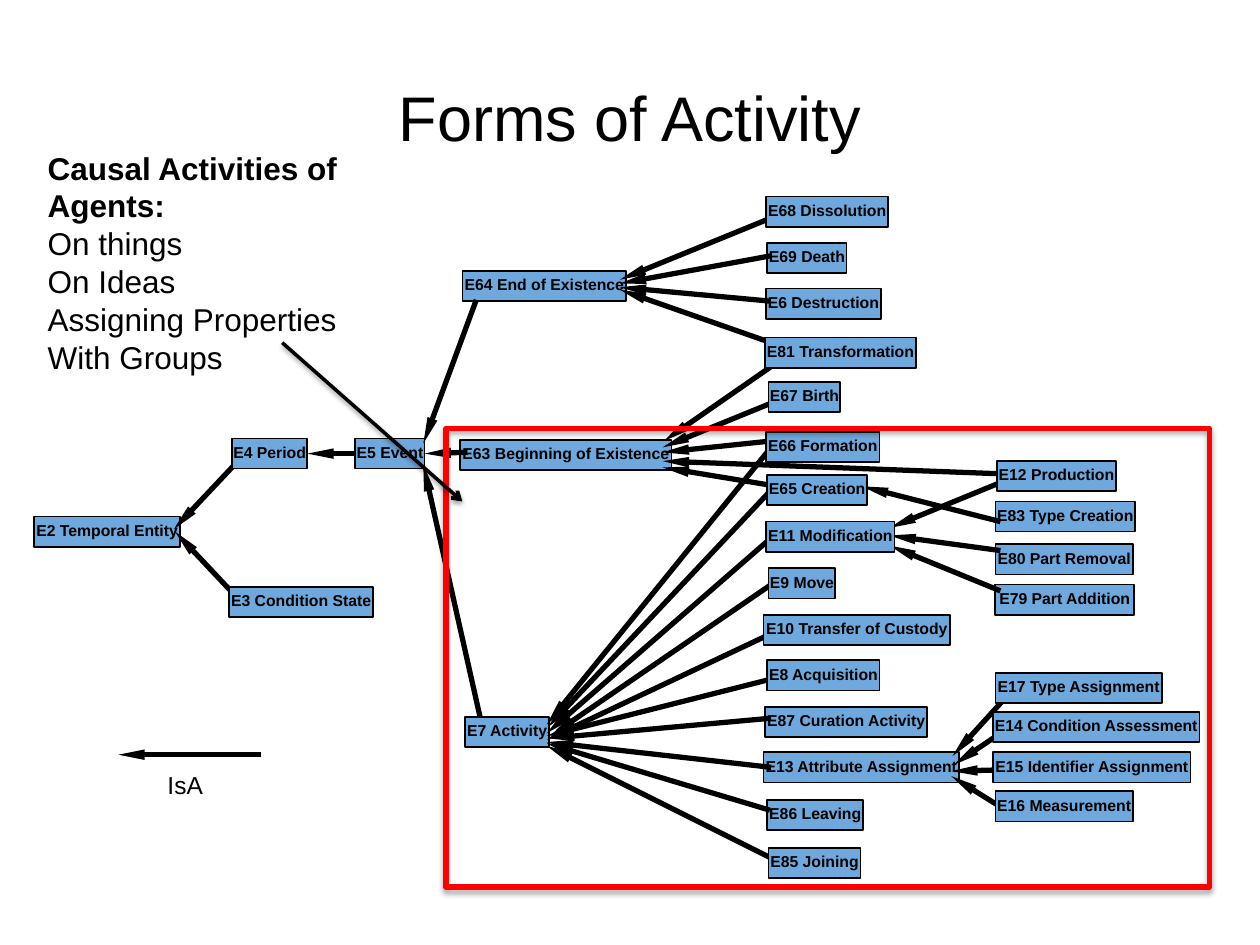
from collections import namedtuple
from dataclasses import dataclass

from lxml.etree import SubElement
from pptx import Presentation
from pptx.dml.color import RGBColor
from pptx.enum.shapes import MSO_CONNECTOR, MSO_SHAPE
from pptx.enum.text import MSO_ANCHOR, MSO_AUTO_SIZE, PP_ALIGN
from pptx.oxml.ns import qn
from pptx.util import Inches, Pt

Box = namedtuple("Box", "x y w h")


@dataclass(frozen=True)
class Theme:
    font: str = "Arial"
    ink: RGBColor = RGBColor(0, 0, 0)
    node: RGBColor = RGBColor(0x6F, 0xA8, 0xDC)
    frame: RGBColor = RGBColor(0xFF, 0, 0)
    title_size: int = 36
    note_size: int = 18
    legend_size: int = 14
    node_size: int = 9
    thin: int = 1
    medium: int = 2
    thick: int = 3


THEME = Theme()
NODE_H = 0.24

BACK_NODES = [
    ("E2 Temporal Entity", 0.27, 4.1, 1.16),
    ("E5 Event", 2.82, 3.48, 0.55),
    ("E63 Beginning of Existence", 3.65, 3.49, 1.68),
    ("E64 End of Existence", 3.67, 2.15, 1.3),
    ("E7 Activity", 3.69, 5.69, 0.67),
    ("E69 Death", 6.09, 1.93, 0.63),
    ("E6 Destruction", 6.08, 2.29, 0.91),
    ("E87 Curation Activity", 6.07, 5.61, 1.29),
    ("E13 Attribute Assignment", 6.06, 5.97, 1.55),
    ("E86 Leaving", 6.09, 6.35, 0.76),
    ("E83 Type Creation", 7.9, 3.98, 1.11),
    ("E80 Part Removal", 7.9, 4.32, 1.09),
    ("E79 Part Addition", 7.9, 4.64, 1.1),
]
FRONT_NODES = [
    ("E4 Period", 1.84, 3.48, 0.6),
    ("E3 Condition State", 1.82, 4.66, 1.14),
    ("E68 Dissolution", 6.08, 1.56, 0.97),
    ("E81 Transformation", 6.07, 2.68, 1.2),
    ("E67 Birth", 6.1, 3.03, 0.57),
    ("E66 Formation", 6.08, 3.43, 0.9),
    ("E65 Creation", 6.09, 3.77, 0.79),
    ("E11 Modification", 6.08, 4.14, 1.02),
    ("E9 Move", 6.1, 4.51, 0.53),
    ("E10 Transfer of Custody", 6.06, 4.88, 1.48),
    ("E8 Acquisition", 6.09, 5.24, 0.89),
    ("E85 Joining", 6.1, 6.73, 0.73),
    ("E12 Production", 7.91, 3.66, 0.95),
    ("E17 Type Assignment", 7.9, 5.34, 1.32),
    ("E14 Condition Assessment", 7.88, 5.65, 1.64),
    ("E15 Identifier Assignment", 7.88, 5.97, 1.57),
    ("E16 Measurement", 7.9, 6.28, 1.09),
]
ARROWS = {
    "E2": [("E4", 1.86, 3.69, 1.38, 4.2), ("E3", 1.86, 4.72, 1.39, 4.22)],
    "E4": [("E5", 2.83, 3.6, 2.41, 3.6)],
    "E5": [("E64", 3.78, 2.38, 3.36, 3.52), ("E7", 3.81, 5.69, 3.36, 3.69),
           ("E63", 3.71, 3.59, 3.35, 3.59)],
    "E64": [("E68", 6.12, 1.73, 4.92, 2.22), ("E69", 6.12, 2.03, 4.92, 2.25),
            ("E6", 6.11, 2.39, 4.92, 2.28), ("E81", 6.12, 2.72, 4.92, 2.3)],
    "E63": [("E81", 6.12, 2.91, 5.27, 3.5), ("E67", 6.12, 3.2, 5.26, 3.55),
            ("E66", 6.12, 3.5, 5.26, 3.59), ("E12", 7.93, 3.76, 5.26, 3.66),
            ("E65", 6.11, 3.85, 5.26, 3.71)],
    "E7": [("E66", 6.12, 3.55, 4.34, 5.75), ("E65", 6.12, 3.89, 4.35, 5.77),
           ("E11", 6.12, 4.27, 4.34, 5.82), ("E9", 6.12, 4.64, 4.37, 5.84),
           ("E10", 6.14, 5.02, 4.34, 5.87), ("E8", 6.12, 5.39, 4.34, 5.84),
           ("E87", 6.12, 5.7, 4.35, 5.86), ("E13", 6.12, 6.09, 4.34, 5.89),
           ("E86", 6.11, 6.43, 4.34, 5.9), ("E85", 6.12, 6.81, 4.34, 5.92)],
    "E65": [("E83", 7.94, 4.14, 6.84, 3.86)],
    "E11": [("E12", 7.94, 3.83, 7.06, 4.19), ("E80", 7.94, 4.37, 7.06, 4.25),
            ("E79", 7.94, 4.69, 7.06, 4.33)],
    "E13": [("E17", 7.96, 5.56, 7.56, 6), ("E14", 7.94, 5.82, 7.57, 6.07),
            ("E15", 7.96, 6.11, 7.55, 6.12), ("E16", 7.95, 6.41, 7.55, 6.16)],
}


def add_run(p, text, size, bold=False):
    r = p.add_run()
    r.text = text
    r.font.name, r.font.size, r.font.bold = THEME.font, Pt(size), bold
    r.font.color.rgb = THEME.ink


def add_shadow(sp, alpha, dist):
    effects = SubElement(sp._element.spPr, qn("a:effectLst"))
    shadow = SubElement(effects, qn("a:outerShdw"), blurRad=str(Pt(3.1)),
                        dist=str(Pt(dist)), dir="5400000", rotWithShape="0")
    color = SubElement(shadow, qn("a:srgbClr"), val=str(THEME.ink))
    SubElement(color, qn("a:alpha"), val=str(alpha * 1000))


def add_arrow(slide, x1, y1, x2, y2, width, **head):
    line = slide.shapes.add_connector(
        MSO_CONNECTOR.STRAIGHT, Inches(x1), Inches(y1), Inches(x2), Inches(y2))
    line.line.color.rgb = THEME.ink
    line.line.width = Pt(width)
    SubElement(line.line._get_or_add_ln(), qn("a:tailEnd"), **head)
    return line


def add_isa_arrow(slide, x1, y1, x2, y2):
    line = add_arrow(slide, x1, y1, x2, y2, THEME.thick,
                     type="triangle", w="sm", len="lg")
    SubElement(line._element.spPr, qn("a:effectLst"))
    return line


def add_rect(slide, box, color, width):
    sp = slide.shapes.add_shape(MSO_SHAPE.RECTANGLE, *map(Inches, box))
    sp.line.color.rgb = color
    sp.line.width = Pt(width)
    return sp


def add_node(slide, box, label):
    sp = add_rect(slide, box, THEME.ink, THEME.thin)
    sp.shadow.inherit = False
    sp.fill.solid()
    sp.fill.fore_color.rgb = THEME.node
    tf = sp.text_frame
    tf.margin_left = tf.margin_right = Inches(0.01)
    tf.margin_top = tf.margin_bottom = Inches(0.05)
    tf.word_wrap = False
    tf.auto_size = MSO_AUTO_SIZE.SHAPE_TO_FIT_TEXT
    tf.vertical_anchor = MSO_ANCHOR.TOP
    p = tf.paragraphs[0]
    p.alignment, p.line_spacing = PP_ALIGN.CENTER, 0.9
    add_run(p, label, THEME.node_size, bold=True)
    return sp


def draw_title(slide, box, text):
    title = slide.shapes.title
    title.left, title.top, title.width, title.height = map(Inches, box)
    title.text_frame.vertical_anchor = MSO_ANCHOR.MIDDLE
    p = title.text_frame.paragraphs[0]
    p.alignment = PP_ALIGN.CENTER
    add_run(p, text, THEME.title_size)


def draw_hierarchy(slide, box):
    nodes, arrows = {}, {}

    def place(rows):
        for label, x, y, w in rows:
            nodes[label.split()[0]] = add_node(
                slide, Box(box.x + x, box.y + y, w, NODE_H), label)

    place(BACK_NODES)
    for parent, children in ARROWS.items():
        for child, x1, y1, x2, y2 in children:
            arrows[child, parent] = add_isa_arrow(
                slide, box.x + x1, box.y + y1, box.x + x2, box.y + y2)
    place(FRONT_NODES)
    arrows["E5", "E4"].begin_connect(nodes["E5"], 1)
    arrows["E5", "E4"].end_connect(nodes["E4"], 3)
    arrows["E63", "E5"].end_connect(nodes["E5"], 3)


def draw_legend(slide, box):
    add_isa_arrow(slide, box.x + box.w, box.y, box.x, box.y)
    label = Box(box.x + 0.29, box.y + 0.07, 0.48, 0.34)
    tf = slide.shapes.add_textbox(*map(Inches, label)).text_frame
    tf.word_wrap = False
    tf.auto_size = MSO_AUTO_SIZE.SHAPE_TO_FIT_TEXT
    tf.paragraphs[0].alignment = PP_ALIGN.CENTER
    add_run(tf.paragraphs[0], "IsA", THEME.legend_size)


def draw_highlight(slide, box):
    frame = add_rect(slide, box, THEME.frame, THEME.thick)
    frame.fill.background()
    add_shadow(frame, 35, 1.8)


def draw_note(slide, box, heading, items):
    tf = slide.shapes.add_textbox(*map(Inches, box)).text_frame
    tf.word_wrap = True
    tf.auto_size = MSO_AUTO_SIZE.SHAPE_TO_FIT_TEXT
    add_run(tf.paragraphs[0], heading, THEME.note_size, bold=True)
    for item in items:
        add_run(tf.add_paragraph(), item, THEME.note_size)
    x, y = box.x + 1.96, box.y + 1.59
    pointer = add_arrow(slide, x, y, x + 1.43, y + 1.26, THEME.medium, type="arrow")
    add_shadow(pointer, 38, 1.6)


def main():
    prs = Presentation()
    prs.slide_width, prs.slide_height = Inches(10), Inches(7.5)
    slide = prs.slides.add_slide(prs.slide_layouts[5])
    draw_title(slide, Box(0.5, 0.3, 9, 1.25), "Forms of Activity")
    draw_hierarchy(slide, Box(0, 0, 10, 7.5))
    draw_legend(slide, Box(0.94, 5.99, 1.13, 0.41))
    draw_highlight(slide, Box(3.54, 3.4, 6.06, 3.64))
    draw_note(slide, Box(0.28, 1.13, 2.85, 1.92), "Causal Activities of Agents:",
              ["On things", "On Ideas", "Assigning Properties", "With Groups"])
    prs.save("out.pptx")


if __name__ == "__main__":
    main()
